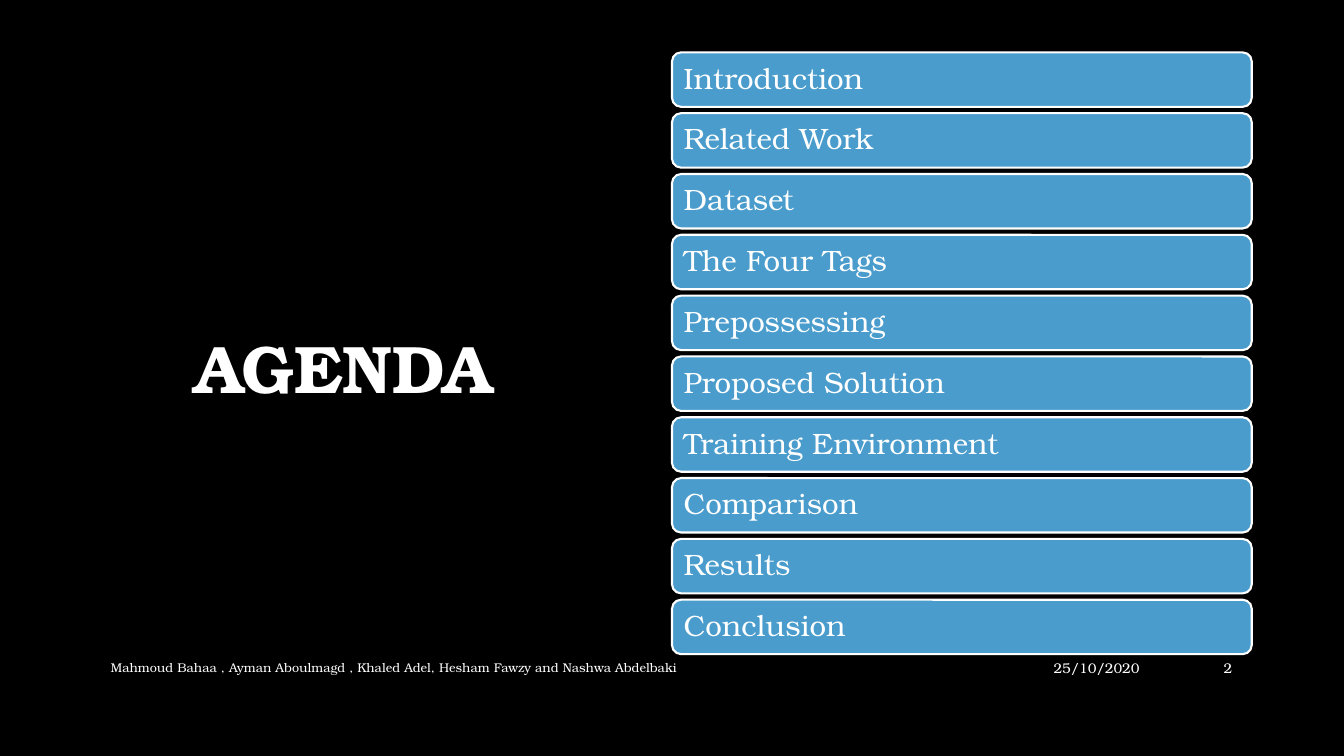
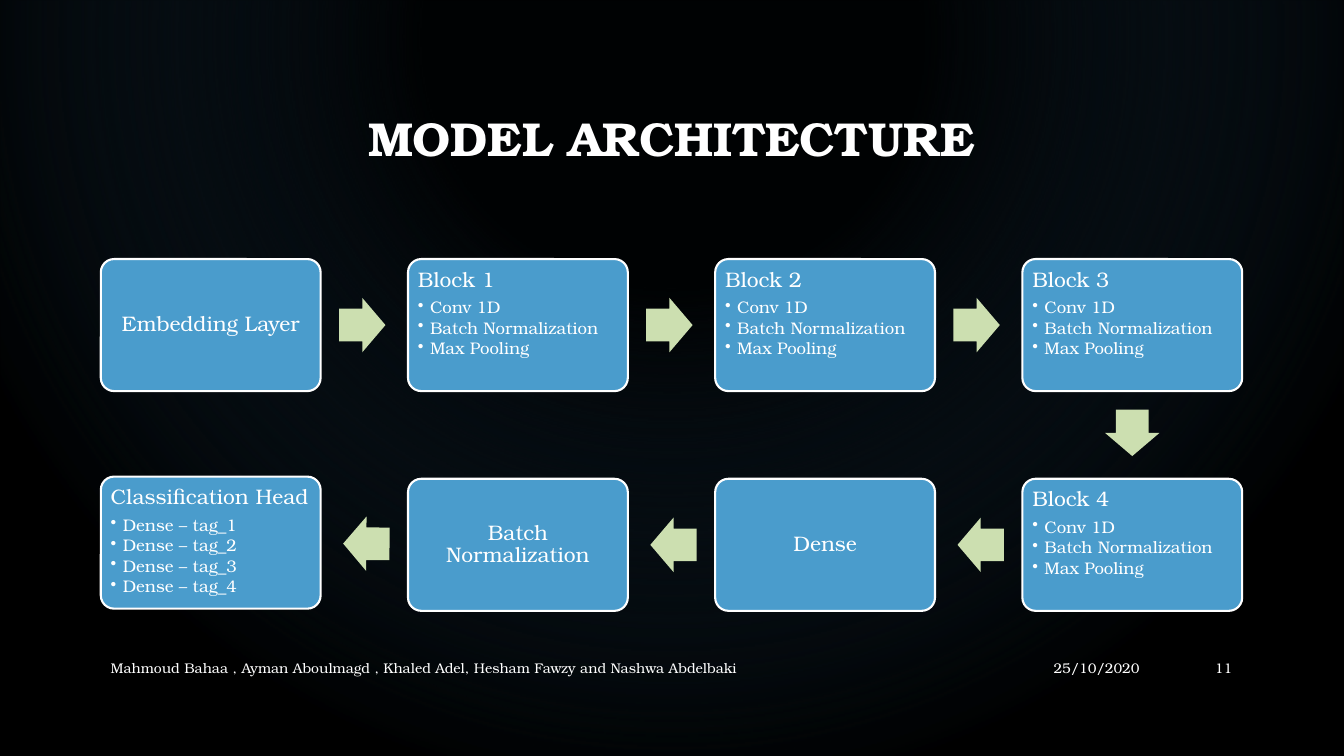
from dataclasses import dataclass
from math import atan2, cos, degrees, sin

from lxml.etree import SubElement
from pptx import Presentation
from pptx.dml.color import RGBColor
from pptx.enum.shapes import MSO_SHAPE
from pptx.enum.text import MSO_ANCHOR, MSO_AUTO_SIZE, PP_ALIGN
from pptx.oxml import parse_xml
from pptx.oxml.ns import nsdecls, qn
from pptx.util import Inches, Pt


@dataclass(frozen=True)
class Theme:
    font: str = "TeX Gyre Bonum"
    back: str = "000000"
    text: str = "FFFFFF"
    card: str = "4A9CCC"
    arrow: str = "CCDFB0"
    glow: str = "1F445F"
    hero: int = 48
    title: int = 34
    item: int = 21
    head: int = 15
    point: int = 12
    foot: int = 10
    small: int = 9


@dataclass(frozen=True)
class Grid:
    wide: float = 13.33
    high: float = 7.5
    left: float = 1
    span: float = 11.32
    top: float = 2.57
    card: tuple = (2.18, 1.31)
    row: float = 2.18
    cols: int = 4

    def spot(self, col, row):
        step = (self.span - self.card[0]) / (self.cols - 1)
        return self.left + col * step, self.top + row * self.row


THEME = Theme()
GRID = Grid()
TEAM = "Mahmoud Bahaa , Ayman Aboulmagd , Khaled Adel, Hesham Fawzy and Nashwa Abdelbaki"
DATE = "25/10/2020"
TOPICS = [
    "Introduction", "Related Work", "Dataset", "The Four Tags", "Prepossessing",
    "Proposed Solution", "Training Environment", "Comparison", "Results", "Conclusion",
]
LAYERS = ["Conv 1D", "Batch Normalization", "Max Pooling"]
TAGS = [f"Dense – tag_{n}" for n in range(1, 5)]
NODES = [
    (0, 0, "Embedding Layer", []),
    (1, 0, "Block 1", LAYERS),
    (2, 0, "Block 2", LAYERS),
    (3, 0, "Block 3", LAYERS),
    (3, 1, "Block 4", LAYERS),
    (2, 1, "Dense", []),
    (1, 1, "Batch Normalization", []),
    (0, 0.99, "Classification Head", TAGS),
]


def tint(name):
    return RGBColor.from_string(name)


def box(*sizes):
    return [Inches(size) for size in sizes]


def style(para, size, align=PP_ALIGN.LEFT, bold=False, line=0.9, after=0):
    para.alignment = align
    para.line_spacing = line
    para.space_before = Pt(0)
    para.space_after = Pt(after)
    font = para.font
    font.name, font.size, font.bold = THEME.font, Pt(size), bold
    font.color.rgb = tint(THEME.text)


def bullet(para):
    props = para._p.get_or_add_pPr()
    props.set("marL", str(Inches(0.12)))
    props.set("indent", str(Inches(-0.12)))
    mark = SubElement(props, qn("a:buChar"), char="•")
    props.find(qn("a:defRPr")).addprevious(mark)


def title(slide, text, size, area):
    shape = slide.shapes.title
    shape.left, shape.top, shape.width, shape.height = box(*area)
    frame = shape.text_frame
    frame.text = text
    frame.auto_size = MSO_AUTO_SIZE.NONE
    frame.vertical_anchor = MSO_ANCHOR.MIDDLE
    style(frame.paragraphs[0], size, PP_ALIGN.CENTER, True)


def label(slide, text, area, size, align=PP_ALIGN.LEFT, line=1.0):
    frame = slide.shapes.add_textbox(*box(*area)).text_frame
    frame.word_wrap = True
    frame.vertical_anchor = MSO_ANCHOR.MIDDLE
    frame.text = text
    style(frame.paragraphs[0], size, align, line=line)


def footer(slide, page, size=THEME.foot, line=1.0):
    top, high = 6.43, 0.4
    label(slide, TEAM, (GRID.left, top, 7.3, high), size, line=line)
    label(slide, DATE, (8.4, top, 3, high), THEME.foot, PP_ALIGN.RIGHT)
    label(slide, str(page), (11.5, top, 0.82, high), THEME.foot, PP_ALIGN.RIGHT)


def form(slide, kind, area, fill):
    shape = slide.shapes.add_shape(kind, *box(*area))
    shape.shadow.inherit = False
    shape.fill.solid()
    shape.fill.fore_color.rgb = tint(fill)
    shape.line.fill.background()
    return shape


def card(slide, area, head, size, pad, points=(), align=PP_ALIGN.LEFT):
    shape = form(slide, MSO_SHAPE.ROUNDED_RECTANGLE, area, THEME.card)
    shape.line.color.rgb = tint(THEME.text)
    shape.line.width = Pt(1.5)
    frame = shape.text_frame
    frame.word_wrap = True
    frame.margin_left = frame.margin_right = Inches(pad)
    frame.margin_top = frame.margin_bottom = Inches(pad)
    frame.vertical_anchor = MSO_ANCHOR.TOP if points else MSO_ANCHOR.MIDDLE
    frame.text = head
    style(frame.paragraphs[0], size, align, after=0.35 * size)
    for point in points:
        para = frame.add_paragraph()
        para.text = point
        para.level = 1
        style(para, THEME.point, after=0.15 * THEME.point)
        bullet(para)
    return shape


def arrow(slide, start, end):
    (left, top), (right, low) = start, end
    angle = atan2(low - top, right - left)
    wide, high = 0.46, 0.54
    back = 0.02
    mid = (left + right + GRID.card[0]) / 2 - back * cos(angle)
    level = (top + low + GRID.card[1]) / 2 - back * sin(angle)
    area = (mid - wide / 2, level - high / 2, wide, high)
    shape = form(slide, MSO_SHAPE.RIGHT_ARROW, area, THEME.arrow)
    shape.adjustments[0] = 0.6
    shape.rotation = degrees(angle) % 360


def glow(slide):
    shape = form(slide, MSO_SHAPE.RECTANGLE, (0, 0, GRID.wide, GRID.high), THEME.back)
    stops = "".join(
        f'<a:gs pos="{pos}000"><a:srgbClr val="{hue}"><a:alpha val="{alpha}000"/></a:srgbClr></a:gs>'
        for pos, hue, alpha in [(32, THEME.glow, 3), (100, THEME.back, 70)]
    )
    grad = parse_xml(
        f'<a:gradFill {nsdecls("a")} rotWithShape="1"><a:gsLst>{stops}</a:gsLst>'
        '<a:path path="circle"><a:fillToRect l="50000" t="5000" r="50000" b="95000"/>'
        "</a:path></a:gradFill>"
    )
    props = shape.element.spPr
    props.replace(props.find(qn("a:solidFill")), grad)
    slide.shapes.title.element.addprevious(shape.element)


def agenda(slide):
    title(slide, "AGENDA", THEME.hero, (0.57, 0.68, 5.67, 6.02))
    first, last = 0.52, 5.95
    step = (last - first) / (len(TOPICS) - 1)
    for place, topic in enumerate(TOPICS):
        area = (GRID.wide / 2, first + place * step, 5.75, 0.54)
        card(slide, area, topic, THEME.item, 0.09)
    footer(slide, 2, THEME.small, 0.9)


def model(slide):
    glow(slide)
    title(slide, "MODEL ARCHITECTURE", THEME.title, (GRID.left, 0.67, GRID.span, 1.45))
    spots = [GRID.spot(col, row) for col, row, *_ in NODES]
    for spot, (_, _, head, points) in zip(spots, NODES):
        align = PP_ALIGN.LEFT if points else PP_ALIGN.CENTER
        shape = card(slide, (*spot, *GRID.card), head, THEME.head, 0.06, points, align)
        shape.adjustments[0] = 0.1
    for start, end in zip(spots, spots[1:]):
        arrow(slide, start, end)
    footer(slide, 11)


def main():
    deck = Presentation()
    deck.slide_width, deck.slide_height = box(GRID.wide, GRID.high)
    fill = deck.slide_master.background.fill
    fill.solid()
    fill.fore_color.rgb = tint(THEME.back)
    for build in (agenda, model):
        build(deck.slides.add_slide(deck.slide_layouts[5]))
    deck.save("out.pptx")


if __name__ == "__main__":
    main()
